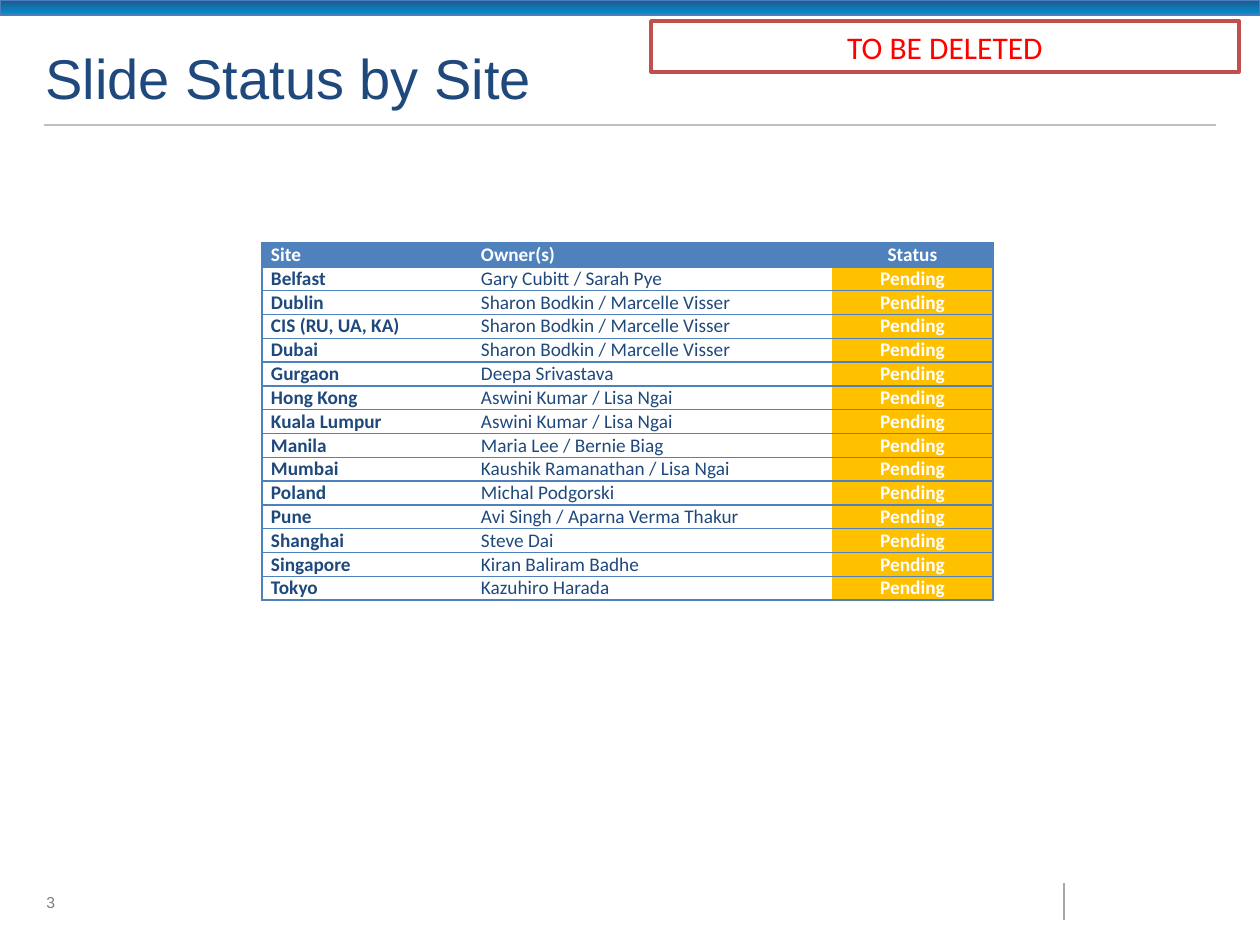
"""Build the slide status table by site."""
from lxml.etree import SubElement
from pptx import Presentation
from pptx.dml.color import RGBColor
from pptx.enum.shapes import MSO_CONNECTOR as Connector, MSO_SHAPE as Shape
from pptx.enum.text import MSO_ANCHOR as Anchor, PP_ALIGN as Align
from pptx.oxml.ns import qn
from pptx.util import Pt

TITLE = "Slide Status by Site"
BANNER = "TO BE DELETED"
PAGE_NUMBER = "3"
HEADER = ("Site", "Owner(s)", "Status")
STATUS = "Pending"
SITES = [
    ("Belfast", "Gary Cubitt / Sarah Pye"),
    ("Dublin", "Sharon Bodkin / Marcelle Visser"),
    ("CIS (RU, UA, KA)", "Sharon Bodkin / Marcelle Visser"),
    ("Dubai", "Sharon Bodkin / Marcelle Visser"),
    ("Gurgaon", "Deepa Srivastava"),
    ("Hong Kong", "Aswini Kumar / Lisa Ngai"),
    ("Kuala Lumpur", "Aswini Kumar / Lisa Ngai"),
    ("Manila", "Maria Lee / Bernie Biag"),
    ("Mumbai", "Kaushik Ramanathan / Lisa Ngai"),
    ("Poland", "Michal Podgorski"),
    ("Pune", "Avi Singh / Aparna Verma Thakur"),
    ("Shanghai", "Steve Dai"),
    ("Singapore", "Kiran Baliram Badhe"),
    ("Tokyo", "Kazuhiro Harada"),
]
COLORS = {
    "navy": "1F497D", "blue": "4F81BD", "white": "FFFFFF", "amber": "FFC000",
    "red": "FF0000", "brick": "C0504D", "gray": "808080", "rule": "BFBFBF",
    "divider": "A6A6A6", "bar_top": "21578B", "bar_bottom": "0092D1", "bar_line": "4B7EBC",
}
SLIDE_SIZE = (1260, 945)
BAR_BOX = (0, 0, 1260, 15)
TITLE_BOX = (33, 18, 1194, 119)
BANNER_BOX = (651, 21, 588, 51)
NUMBER_BOX = (34, 877, 55, 50)
LINES = [((44, 125, 1216, 125), "rule", 1), ((1064, 883, 1064, 920), "divider", 0.75)]
TABLE_ORIGIN = (262, 243)
COLUMN_WIDTHS = (210, 360, 161)
ROW_HEIGHT = 23
CELL_INSET = 9


def px(*lengths):
    return [round(length * 914400 / 126) for length in lengths]


def rgb(name):
    return RGBColor.from_string(COLORS[name])


def write(text_frame, text, font_name, size, color, bold=False, align=Align.LEFT):
    text_frame.text = text
    paragraph = text_frame.paragraphs[0]
    paragraph.alignment = align
    font = paragraph.runs[0].font
    font.name, font.size, font.bold = font_name, Pt(size), bold
    font.color.rgb = rgb(color)


def add_rectangle(slide, box, line_color, line_width):
    shape = slide.shapes.add_shape(Shape.RECTANGLE, *px(*box))
    shape.shadow.inherit = False
    shape.line.color.rgb = rgb(line_color)
    shape.line.width = Pt(line_width)
    return shape


def add_line(slide, ends, color, width):
    line = slide.shapes.add_connector(Connector.STRAIGHT, *px(*ends))
    line.line.color.rgb = rgb(color)
    line.line.width = Pt(width)
    SubElement(line._element.spPr, qn("a:effectLst"))


def set_borders(cell, visible_sides):
    properties = cell._tc.get_or_add_tcPr()
    for side in "LRTB":
        border = SubElement(properties, qn(f"a:ln{side}"), w=str(Pt(1)))
        if side in visible_sides:
            fill = SubElement(border, qn("a:solidFill"))
            SubElement(fill, qn("a:srgbClr"), val=COLORS["blue"])
        else:
            SubElement(border, qn("a:noFill"))


def add_status_table(slide):
    rows = [HEADER] + [(site, owners, STATUS) for site, owners in SITES]
    size = (sum(COLUMN_WIDTHS), ROW_HEIGHT * len(rows))
    table = slide.shapes.add_table(len(rows), len(HEADER), *px(*TABLE_ORIGIN, *size)).table
    table.first_row = table.horz_banding = False
    for column, width in zip(table.columns, px(*COLUMN_WIDTHS)):
        column.width = width
    for row_index, row in enumerate(rows):
        table.rows[row_index].height = px(ROW_HEIGHT)[0]
        for column_index, text in enumerate(row):
            is_header, is_status = row_index == 0, column_index == 2
            cell = table.cell(row_index, column_index)
            cell.margin_left = cell.margin_right = px(CELL_INSET)[0]
            cell.margin_top = cell.margin_bottom = 0
            set_borders(cell, ("LTB", "TB", "RTB")[column_index])
            if is_header or is_status:
                cell.fill.solid()
                cell.fill.fore_color.rgb = rgb("blue" if is_header else "amber")
            else:
                cell.fill.background()
            write(cell.text_frame, text, "Calibri", 11,
                  "white" if is_header or is_status else "navy",
                  bold=is_header or column_index != 1,
                  align=Align.CENTER if is_status else Align.LEFT)


def main():
    presentation = Presentation()
    presentation.slide_width, presentation.slide_height = px(*SLIDE_SIZE)
    slide = presentation.slides.add_slide(presentation.slide_layouts[5])

    bar = add_rectangle(slide, BAR_BOX, "bar_line", 0.75)
    bar.fill.gradient()
    bar.fill.gradient_angle = 270
    for stop, color in zip(bar.fill.gradient_stops, ("bar_top", "bar_bottom")):
        stop.color.rgb = rgb(color)
    for ends, color, width in LINES:
        add_line(slide, ends, color, width)

    title = slide.shapes.title
    title.left, title.top, title.width, title.height = px(*TITLE_BOX)
    title.text_frame.vertical_anchor = Anchor.MIDDLE
    write(title.text_frame, TITLE, "Arial", 32, "navy")

    add_status_table(slide)

    number = slide.shapes.add_textbox(*px(*NUMBER_BOX)).text_frame
    number.word_wrap = True
    number.vertical_anchor = Anchor.MIDDLE
    write(number, PAGE_NUMBER, "Arial", 9, "gray")

    banner = add_rectangle(slide, BANNER_BOX, "brick", 2)
    banner.fill.solid()
    banner.fill.fore_color.rgb = rgb("white")
    write(banner.text_frame, BANNER, "Calibri", 18, "red", align=Align.CENTER)

    presentation.save("out.pptx")


if __name__ == "__main__":
    main()
